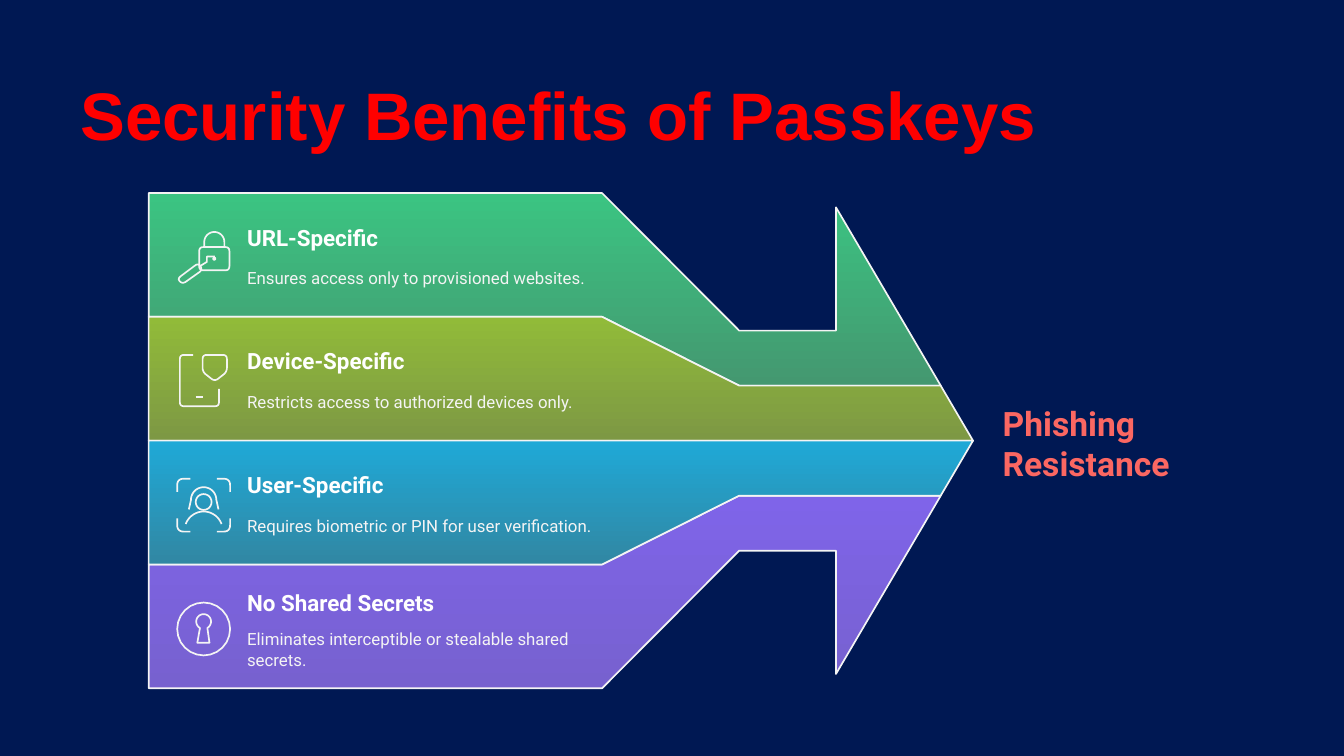
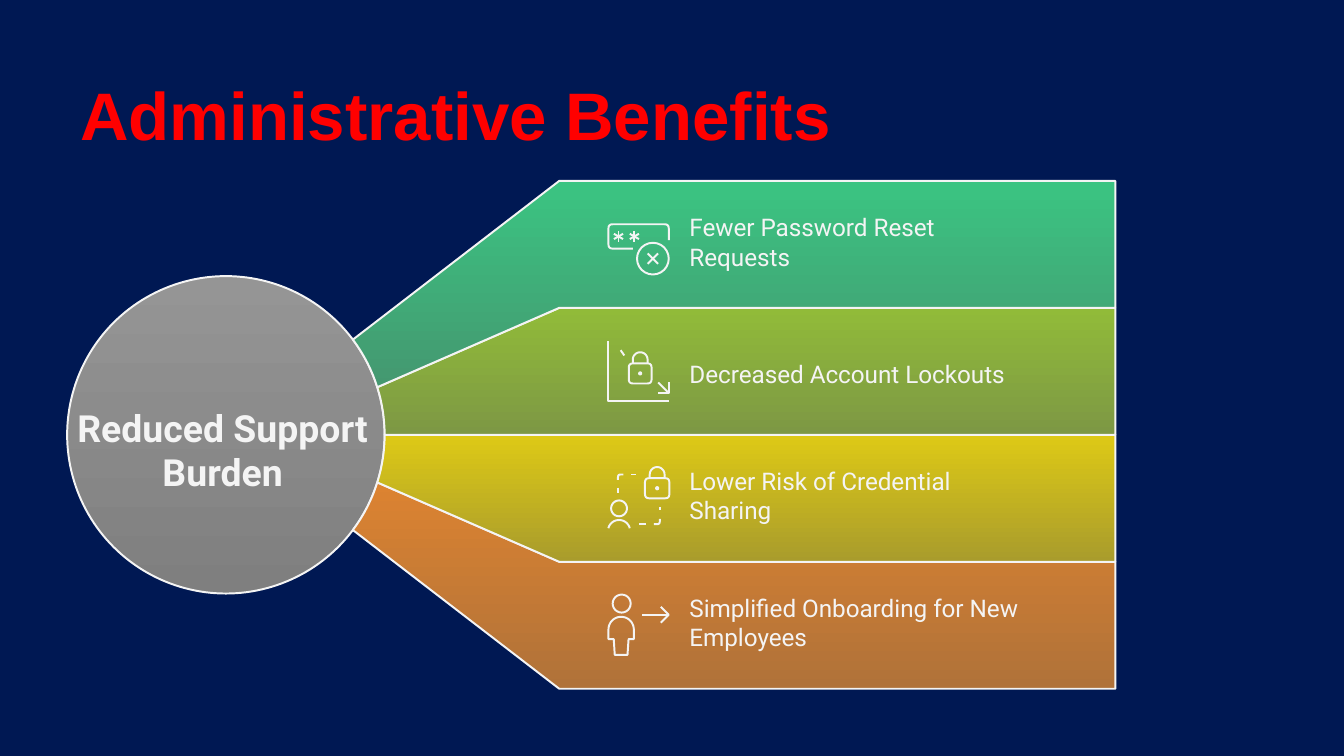
from copy import deepcopy
from math import cos, dist, radians, sin, sqrt

from pptx import Presentation
from pptx.dml.color import RGBColor
from pptx.enum.shapes import MSO_SHAPE
from pptx.enum.text import MSO_ANCHOR, MSO_AUTO_SIZE, PP_ALIGN
from pptx.oxml.ns import qn
from pptx.util import Cm, Pt

NAVY, RED, CORAL, WHITE, PALE = "001853", "FF0000", "FB6762", "FFFFFF", "F4F4F4"
GREEN, OLIVE = ("3BC482", "449870"), ("91BB39", "7D9844")
BLUE, PURPLE = ("1FA9D7", "3187A3"), ("7F64E9", "7761CF")
YELLOW, ORANGE = ("DDC916", "A99C2C"), ("DC8331", "B07239")
GREY = ("959595", "7F7F7F")

SECURITY = [
    ("URL-Specific", "Ensures access only to provisioned websites.", GREEN, "key"),
    ("Device-Specific", "Restricts access to authorized devices only.", OLIVE, "device"),
    ("User-Specific", "Requires biometric or PIN for user verification.", BLUE, "face"),
    ("No Shared Secrets", "Eliminates interceptible or stealable shared\nsecrets.", PURPLE, "keyhole"),
]
ADMINISTRATION = [
    ("Fewer Password Reset\nRequests", GREEN, "password"),
    ("Decreased Account Lockouts", OLIVE, "lockout"),
    ("Lower Risk of Credential\nSharing", YELLOW, "sharing"),
    ("Simplified Onboarding for New\nEmployees", ORANGE, "onboarding"),
]


def arc(x, y, radius, start=0, end=360):
    """Return points on an arc, with angles in degrees clockwise from the right."""
    steps = 24
    angles = [radians(start + (end - start) * i / steps) for i in range(steps + 1)]
    points = [(x + radius * cos(a), y + radius * sin(a)) for a in angles]
    return points[:-1] + points[:1] if end - start == 360 else points


def rounded(points, radius=0.08):
    """Return the polyline with each inner corner replaced by a curve."""
    result = [points[0]]
    for before, corner, after in zip(points, points[1:], points[2:]):
        ends = []
        for other in (before, after):
            length = dist(corner, other)
            part = min(radius, length / 2) / length
            ends.append([c + (o - c) * part for c, o in zip(corner, other)])
        for step in range(7):
            t = step / 6
            result.append(tuple(
                (1 - t) ** 2 * a + 2 * t * (1 - t) * c + t * t * b
                for a, c, b in zip(ends[0], corner, ends[1])))
    return result + [points[-1]]


def spokes(x, y, radius, angles):
    """Return lines that cross at one point."""
    return [[arc(x, y, radius, a, a + 180)[i] for i in (0, -1)] for a in angles]


def padlock(x, top, width, height, radius):
    """Return the body, shackle and dot of a padlock centred on x."""
    left, right, bottom = x - width / 2, x + width / 2, top + height
    body = [(x, top), (right, top), (right, bottom), (left, bottom), (left, top), (x, top)]
    shackle = [(x - radius, top)] + arc(x, top - radius / 2, radius, 180, 360) + [(x + radius, top)]
    return [rounded(body), shackle, arc(x, top + height / 2, 0.02)]


def frame_corners(size):
    """Return the four rounded corner brackets of a square."""
    arm = size / 4
    return [rounded([(x, abs(y - arm)), (x, y), (abs(x - arm), y)], arm / 2)
            for x in (0, size) for y in (0, size)]


HOLE = arc(0.5, 0.36, 0.14, 120, 420)
BODY = arc(0.24, 0.66, 0.24, 180, 360) + [(0.48, 0.84), (0.38, 0.84), (0.36, 1.14)]
ICONS = {
    "key": padlock(0.7, 0.3, 0.57, 0.44, 0.19) + [
        rounded([(0.2, 0.75), (0.4, 0.6), (0.48, 0.73), (0.1, 1), (0, 0.9), (0.2, 0.75)]),
        [(0.43, 0.66), (0.56, 0.58), (0.56, 0.48), (0.71, 0.48)],
    ],
    "device": [
        rounded([(0.79, 0.64), (0.79, 0.97), (0.05, 0.97), (0.05, 0), (0.3, 0)]),
        [(0.35, 0.79), (0.48, 0.79)],
        rounded([(0.71, 0), (0.94, 0), (0.94, 0.32), (0.71, 0.5), (0.48, 0.32), (0.48, 0), (0.71, 0)]),
    ],
    "face": frame_corners(1) + [
        arc(0.5, 0.44, 0.15),
        [(0.22, 0.58)] + arc(0.5, 0.4, 0.24, 180, 360) + [(0.78, 0.58)],
        arc(0.5, 0.98, 0.36, 200, 340),
    ],
    "keyhole": [arc(0.5, 0.5, 0.5), HOLE + [(0.61, 0.76), (0.38, 0.76), HOLE[0]]],
    "password": [
        rounded([(0.46, 0.66), (0, 0.66), (0, 0.2), (1.14, 0.2), (1.14, 0.5)]),
        *[line for x in (0.19, 0.49) for line in spokes(x, 0.43, 0.1, (30, 90, 150))],
        arc(0.84, 0.85, 0.3),
        *spokes(0.84, 0.85, 0.14, (45, 135)),
    ],
    "lockout": padlock(0.6, 0.43, 0.43, 0.38, 0.14) + [
        [(1.14, 1.14), (0, 1.14), (0, 0)],
        [(1.14, 0.79), (1.14, 0.99), (0.94, 0.99)],
        [(1.14, 0.99), (0.94, 0.79)],
        [(0.23, 0.18), (0.3, 0.28)],
    ],
    "sharing": padlock(0.92, 0.2, 0.46, 0.38, 0.14) + [
        arc(0.2, 0.77, 0.15),
        arc(0.2, 1.2, 0.21, 195, 345),
        rounded([(0.18, 0.23), (0.18, 0.13), (0.28, 0.13)]),
        rounded([(0.97, 0.97), (0.97, 1.07), (0.86, 1.07)]),
        [(0.18, 0.38), (0.18, 0.48)],
        [(0.43, 0.13), (0.53, 0.13)],
        [(0.97, 0.74), (0.97, 0.81)],
        [(0.58, 1.07), (0.71, 1.07)],
    ],
    "onboarding": [
        arc(0.25, 0.17, 0.17),
        BODY + [(0.48 - x, y) for x, y in BODY[:-4:-1]] + BODY[:1],
        [(0.99, 0.23), (1.14, 0.38), (0.99, 0.53)],
        [(1.14, 0.38), (0.64, 0.38)],
    ],
}


def color(value):
    """Turn a hex string into a colour."""
    return RGBColor.from_string(value)


def paint(shape, width, gradient=None):
    """Give a shape its pale line and a downward gradient or no fill."""
    shape.shadow.inherit = False
    shape.line.color.rgb = color(PALE)
    shape.line.width = Pt(width)
    if not gradient:
        shape.fill.background()
        return
    shape.fill.gradient()
    shape.fill.gradient_angle = 270
    for stop, value in zip(shape.fill.gradient_stops, gradient):
        stop.color.rgb = color(value)


def draw(slide, outlines, width, gradient=None, left=0, top=0):
    """Draw outlines in cm as one freeform, closing those that return to their start."""
    builder = None
    for outline in outlines:
        points = [(Cm(left + x), Cm(top + y)) for x, y in outline]
        if builder is None:
            builder = slide.shapes.build_freeform(*points[0])
        else:
            builder.move_to(*points[0])
        builder.add_line_segments(points[1:], close=points[0] == points[-1])
    paint(builder.convert_to_shape(), width, gradient)


def write(frame, text, size, value=PALE, bold=False, font="Roboto", align=PP_ALIGN.LEFT, inset=0.0):
    """Fill a text frame with one formatted paragraph."""
    frame.word_wrap = True
    frame.auto_size = MSO_AUTO_SIZE.NONE
    frame.vertical_anchor = MSO_ANCHOR.TOP
    frame.margin_left = frame.margin_right = Cm(inset)
    frame.margin_top = frame.margin_bottom = Cm(inset / 2)
    para = frame.paragraphs[0]
    para.text = text
    para.alignment = align
    for span in para.runs:
        span.font.name, span.font.size, span.font.bold = font, Pt(size), bold
        span.font.color.rgb = color(value)
    for line_break in para._p.findall(qn("a:br")):
        line_break.append(deepcopy(para.runs[0]._r.rPr))


def label(slide, text, left, top, size, **style):
    """Add a text box sized by its longest line and line count."""
    lines = text.split("\n")
    width = 0.02 * size * max(map(len, lines))
    box = slide.shapes.add_textbox(Cm(left), Cm(top), Cm(width), Cm(0.05 * size * len(lines)))
    write(box.text_frame, text, size, **style)


def add_page(deck, title):
    """Add a slide with the shared title style."""
    page = deck.slides.add_slide(deck.slide_layouts[5])
    box = page.shapes.title
    box.left, box.top, box.width, box.height = Cm(1.27), Cm(1.27), Cm(22.86), Cm(3.81)
    write(box.text_frame, title, size=36, value=RED, bold=True, font="Arial", inset=0.25)
    return page


def security_page(deck):
    """Build the arrow that joins four benefits."""
    page = add_page(deck, "Security Benefits of Passkeys")
    left, body, neck, head, tip = 2.81, 11.38, 13.97, 15.8, 18.39
    center, row, step, half_head = 8.33, 2.34, 1.04, 4.41

    def edge(k):
        y = center + k * step
        points = [(left, center + k * row), (body, center + k * row), (neck, y)]
        if abs(k) == 2:
            return points + [(head, y), (head, center + k * half_head / 2)]
        return points + [(tip - (tip - head) * abs(k) * step / half_head, y)]

    for k in (1, -2, -1, 0):
        band = edge(k) + edge(k + 1)[::-1]
        draw(page, [band + band[:1]], 0.92, SECURITY[k + 2][2])
    for index, (heading, text, _, icon) in enumerate(SECURITY):
        top = center + (index - 2) * row
        extra = text.count("\n")
        label(page, heading, 4.67, top + 0.58 - 0.12 * extra, 12, value=WHITE, bold=True)
        label(page, text, 4.67, top + 1.42 - 0.2 * extra, 9)
        draw(page, ICONS[icon], 0.92, left=3.35, top=top + 0.72)
    label(page, "Phishing\nResistance", 18.95, 7.62, 18, value=CORAL, bold=True)


def administration_page(deck):
    """Build the circle that spreads into four benefits."""
    page = add_page(deck, "Administrative Benefits")
    hub, center, radius, row, step, elbow, right = 4.27, 8.22, 3, 2.4, 0.9, 10.57, 21.08

    def rim(k):
        return hub + sqrt(radius ** 2 - (k * step) ** 2), center + k * step

    def arm(k):
        return [(right, center + k * row), (elbow, center + k * row)]

    circle = page.shapes.add_shape(MSO_SHAPE.OVAL, Cm(hub - radius), Cm(center - radius),
                                   Cm(2 * radius), Cm(2 * radius))
    paint(circle, 1.06, GREY)
    for k in (1, 0, -1, -2):
        band = arm(k) + [rim(k + i / 8) for i in range(9)] + arm(k + 1)[::-1]
        draw(page, [band + band[:1]], 1.06, ADMINISTRATION[k + 2][1])
    for index, (text, _, icon) in enumerate(ADMINISTRATION):
        top = center + (index - 2) * row
        lines = text.count("\n") + 1
        label(page, text, 13.03, top + (row - 0.74 * lines) / 2 + 0.14, 13)
        draw(page, ICONS[icon], 1.06, left=11.5, top=top + 0.62)
    label(page, "Reduced Support\nBurden", 1.21, 7.65, 20, bold=True, align=PP_ALIGN.CENTER)


def main():
    """Build and save the deck."""
    deck = Presentation()
    deck.slide_width, deck.slide_height = Cm(25.4), Cm(14.29)
    background = deck.slide_master.background.fill
    background.solid()
    background.fore_color.rgb = color(NAVY)
    security_page(deck)
    administration_page(deck)
    deck.save("out.pptx")


if __name__ == "__main__":
    main()
